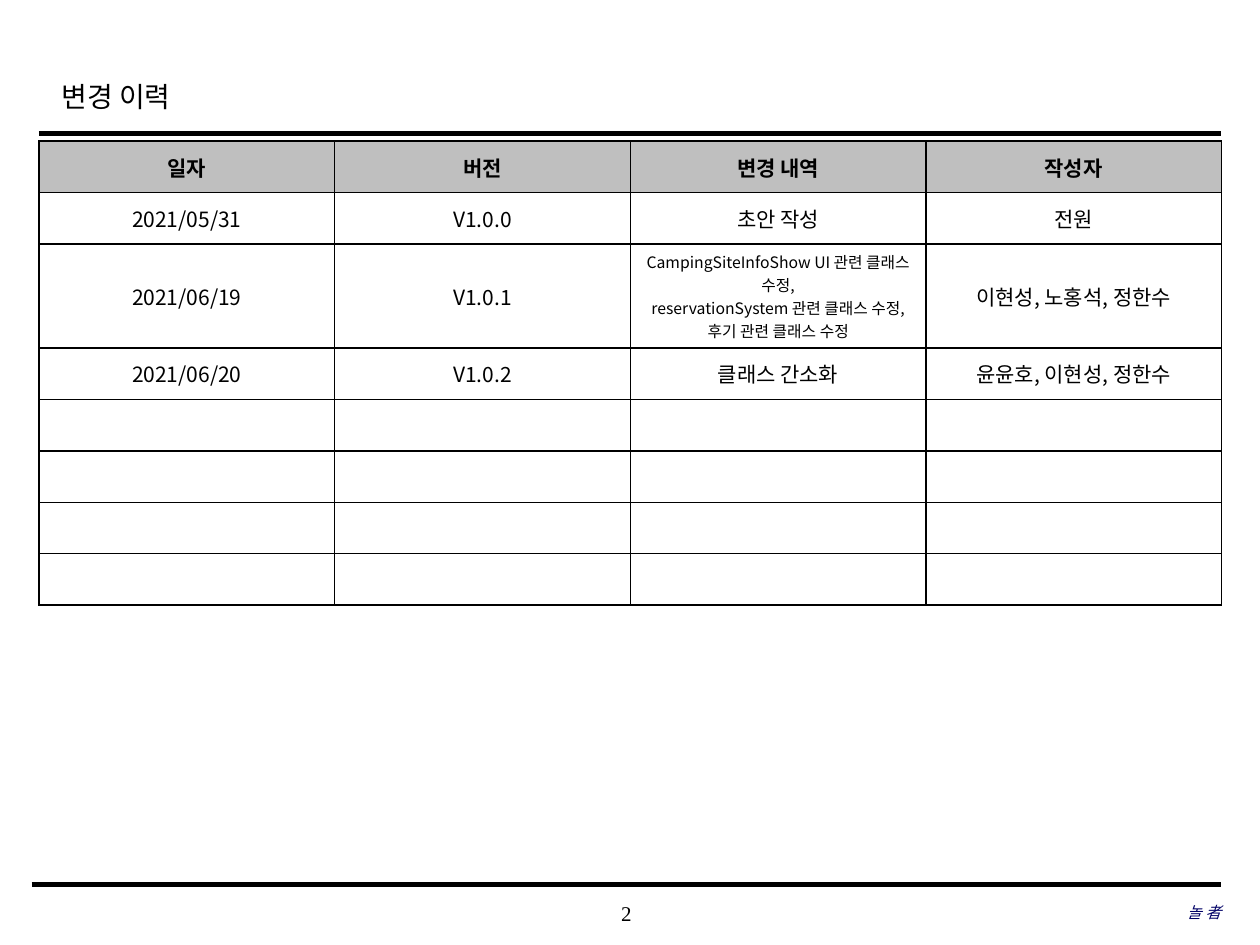
from dataclasses import dataclass

from lxml import etree
from pptx import Presentation
from pptx.dml.color import RGBColor
from pptx.enum import shapes, text
from pptx.oxml.ns import qn
from pptx.util import Pt


@dataclass(frozen=True)
class Theme:
    black: str = "000000"
    navy: str = "000066"
    header: str = "BFBFBF"
    white: str = "FFFFFF"
    serif: str = "Times New Roman"
    sans: str = "Noto Sans CJK KR"
    title_size: float = 16
    body_size: float = 12
    small_size: float = 9
    border: float = 1


THEME = Theme()
HEADINGS = ["일자", "버전", "변경 내역", "작성자"]
CHANGES = [
    ["2021/05/31", "V1.0.0", "초안 작성", "전원"],
    ["2021/06/19", "V1.0.1",
     "CampingSiteInfoShow UI 관련 클래스 수정,\n"
     "reservationSystem 관련 클래스 수정,\n후기 관련 클래스 수정",
     "이현성, 노홍석, 정한수"],
    ["2021/06/20", "V1.0.2", "클래스 간소화", "윤윤호, 이현성, 정한수"],
]
EMPTY_ROWS = 4


def set_values(target, values):
    for name, value in values.items():
        setattr(target, name, value)


def write(frame, content, size, alignment, font=THEME.serif, color=THEME.black, **style):
    frame.text = content
    for paragraph in frame.paragraphs:
        paragraph.alignment = alignment
        for run in paragraph.runs:
            set_values(run.font, {"name": font, "size": Pt(size), **style})
            run.font.color.rgb = RGBColor.from_string(color)
            east_asian = etree.SubElement(run.font._element, qn("a:ea"))
            east_asian.set("typeface", THEME.sans)
        if not paragraph.runs:
            etree.SubElement(paragraph._p, qn("a:endParaRPr"), sz=str(size * 100))


def add_rule(slide, left, top, right, weight):
    rule = slide.shapes.add_connector(
        shapes.MSO_CONNECTOR.STRAIGHT, Pt(left), Pt(top), Pt(right), Pt(top))
    rule.line.width = Pt(weight)
    rule.line.color.rgb = RGBColor.from_string(THEME.black)
    etree.SubElement(rule._element.spPr, qn("a:effectLst"))


def add_label(slide, box, content, size, alignment, **style):
    label = slide.shapes.add_textbox(*map(Pt, box))
    set_values(label.text_frame, {
        "margin_left": 0, "margin_right": 0, "margin_top": 0, "margin_bottom": 0,
        "word_wrap": True, "vertical_anchor": text.MSO_ANCHOR.MIDDLE})
    write(label.text_frame, content, size, alignment, **style)


def add_header(slide, box):
    left, top, width, height = box
    title = slide.shapes.title
    set_values(title, {"left": Pt(left + 5.75), "top": Pt(top), "width": Pt(543.5),
                       "height": Pt(36)})
    set_values(title.text_frame, {"vertical_anchor": text.MSO_ANCHOR.MIDDLE,
                                  "word_wrap": True})
    write(title.text_frame, "변경 이력", THEME.title_size, text.PP_ALIGN.LEFT)
    title.text_frame.paragraphs[0].line_spacing = 1.2
    add_rule(slide, left, top + height, left + width, 2.5)


def add_borders(cell):
    properties = cell._tc.get_or_add_tcPr()
    for side in ("lnL", "lnR", "lnT", "lnB"):
        line = etree.SubElement(properties, qn(f"a:{side}"), w=str(Pt(THEME.border)))
        fill = etree.SubElement(line, qn("a:solidFill"))
        etree.SubElement(fill, qn("a:srgbClr"), val=THEME.black)


def add_history(slide, box):
    rows = [HEADINGS, *CHANGES, *[[""] * len(HEADINGS)] * EMPTY_ROWS]
    table = slide.shapes.add_table(len(rows), len(HEADINGS), *map(Pt, box)).table
    for column in table.columns:
        column.width = Pt(box[2] / len(HEADINGS))
    for row_index, values in enumerate(rows):
        table.rows[row_index].height = Pt(box[3] / len(rows))
        for column_index, value in enumerate(values):
            cell = table.cell(row_index, column_index)
            is_heading = row_index == 0
            add_borders(cell)
            cell.fill.solid()
            cell.fill.fore_color.rgb = RGBColor.from_string(
                THEME.header if is_heading else THEME.white)
            cell.vertical_anchor = text.MSO_ANCHOR.MIDDLE
            size = THEME.small_size if "\n" in value else THEME.body_size
            write(cell.text_frame, value, size, text.PP_ALIGN.CENTER,
                  font=THEME.sans, bold=is_heading)


def add_footer(slide, box):
    left, top, width, height = box
    add_rule(slide, left, top, left + width, 3)
    add_label(slide, (left + 265, top + 4.5, 150, height), "2",
              THEME.body_size, text.PP_ALIGN.CENTER)
    add_label(slide, (left + width - 220, top + 3.5, 220, height), "놀 者",
              THEME.small_size, text.PP_ALIGN.RIGHT, color=THEME.navy, italic=True)


def main():
    presentation = Presentation()
    set_values(presentation, {"slide_width": Pt(720), "slide_height": Pt(540)})
    slide = presentation.slides.add_slide(presentation.slide_layouts[5])
    add_header(slide, (22.3, 35.3, 675.4, 41))
    add_history(slide, (22.3, 80.7, 675.7, 235))
    add_footer(slide, (18, 505.5, 679.7, 24))
    presentation.save("out.pptx")


if __name__ == "__main__":
    main()
